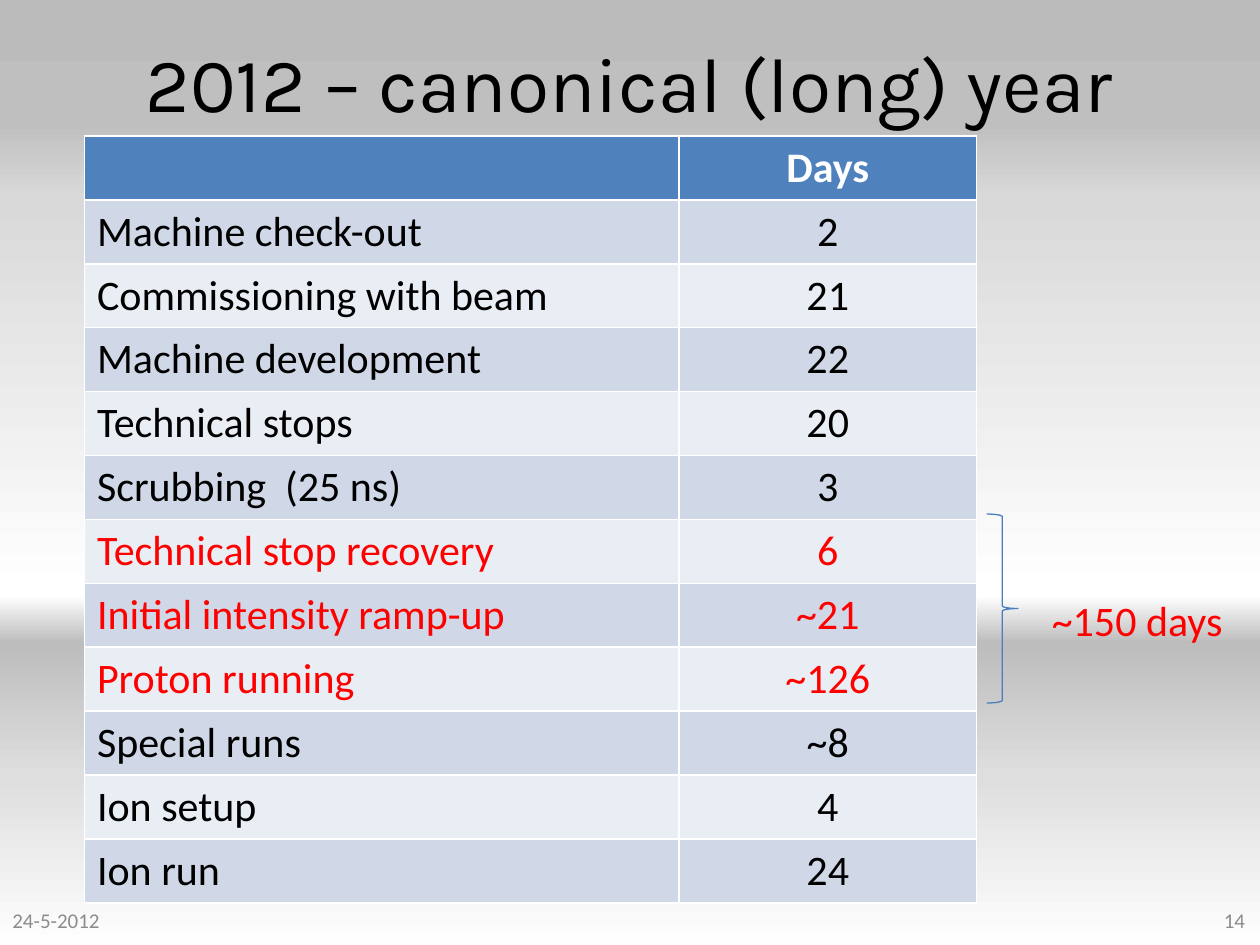
"""Build the slide on the days of the 2012 canonical year."""
from lxml.etree import SubElement
from pptx import Presentation
from pptx.dml.color import RGBColor
from pptx.enum.shapes import MSO_SHAPE
from pptx.enum.text import MSO_ANCHOR, PP_ALIGN
from pptx.oxml.ns import qn
from pptx.util import Inches, Pt

TITLE = "2012 – canonical (long) year"
ROWS = [
    ("", "Days"),
    ("Machine check-out", "2"),
    ("Commissioning with beam", "21"),
    ("Machine development", "22"),
    ("Technical stops", "20"),
    ("Scrubbing  (25 ns)", "3"),
    ("Technical stop recovery", "6"),
    ("Initial intensity ramp-up", "~21"),
    ("Proton running", "~126"),
    ("Special runs", "~8"),
    ("Ion setup", "4"),
    ("Ion run", "24"),
]
MARKED = range(6, 9)
HEX = {
    "text": "000000", "mark": "FF0000", "note": "8C8C8C", "light": "FFFFFF",
    "head": "4F81BD", "odd": "D0D8E8", "even": "E9EDF4", "brace": "4B7EBC",
}
STOPS = [(0, "BBBBBB"), (13, "BFBFBF"), (21, "D9D9D9"), (63, "FFFFFF"),
         (68, "BDBDBD"), (82, "DEDEDE"), (100, "FEFEFE")]
ALIGN = {"l": PP_ALIGN.LEFT, "c": PP_ALIGN.CENTER, "r": PP_ALIGN.RIGHT}
WIDE, HIGH = 10, 7.5
LEFT, TOP, ROW = 0.67, 1.08, 0.5
COLS = (4.72, 2.36)
FOOT = (2.33, 0.4)


def color(name):
    return RGBColor.from_string(HEX[name])


def write(frame, text, size, name, align="l", face="Calibri", bold=False):
    para = frame.paragraphs[0]
    para.text = text
    para.alignment = ALIGN[align]
    font = para.font
    font.size, font.name, font.bold = Pt(size), face, bold
    font.color.rgb = color(name)


def add_text(slide, box, text, size, name, align="l", anchor=MSO_ANCHOR.TOP):
    frame = slide.shapes.add_textbox(*map(Inches, box)).text_frame
    frame.word_wrap = True
    frame.vertical_anchor = anchor
    write(frame, text, size, name, align)


def paint_back(slide):
    fill = slide.background.fill
    fill.gradient()
    stops = fill.gradient_stops
    fill.gradient_angle = 270
    grad = slide.element.find(".//" + qn("a:gradFill"))
    group = grad.find(qn("a:gsLst"))
    for old in list(group):
        group.remove(old)
    for place, tone in STOPS:
        stop = SubElement(group, qn("a:gs"), pos=str(place * 1000))
        SubElement(stop, qn("a:srgbClr"), val=tone)


def add_days(slide):
    box = (LEFT, TOP, sum(COLS), ROW * len(ROWS))
    table = slide.shapes.add_table(len(ROWS), len(COLS), *map(Inches, box)).table
    for col, width in zip(table.columns, COLS):
        col.width = Inches(width)
    for r, row in enumerate(ROWS):
        tone = "light" if r == 0 else "mark" if r in MARKED else "text"
        shade = "head" if r == 0 else "odd" if r % 2 else "even"
        for c, text in enumerate(row):
            cell = table.cell(r, c)
            cell.fill.solid()
            cell.fill.fore_color.rgb = color(shade)
            write(cell.text_frame, text, 24, tone, "lc"[c], bold=r == 0)


def add_brace(slide):
    box = (7.83, TOP + ROW * MARKED.start, 0.25, ROW * len(MARKED))
    brace = slide.shapes.add_shape(MSO_SHAPE.RIGHT_BRACE, *map(Inches, box))
    brace.shadow.inherit = False
    brace.fill.background()
    brace.line.color.rgb = color("brace")
    brace.line.width = Pt(0.75)


def main():
    deck = Presentation()
    deck.slide_width, deck.slide_height = Inches(WIDE), Inches(HIGH)
    slide = deck.slides.add_slide(deck.slide_layouts[5])
    paint_back(slide)
    title = slide.shapes.title
    title.left, title.top, title.width, title.height = map(
        Inches, (0.5, 0.17, WIDE - 1, 0.95))
    title.text_frame.vertical_anchor = MSO_ANCHOR.MIDDLE
    write(title.text_frame, TITLE, 44, "text", "c", "Karla")
    add_days(slide)
    add_brace(slide)
    add_text(slide, (8.25, 4.67, 1.67, 0.5), "~150 days", 24, "mark")
    base = HIGH - FOOT[1]
    for x, text, align in ((0, "24-5-2012", "l"), (7.65, "14", "r")):
        add_text(slide, (x, base, *FOOT), text, 12, "note", align, MSO_ANCHOR.MIDDLE)
    deck.save("out.pptx")


if __name__ == "__main__":
    main()
